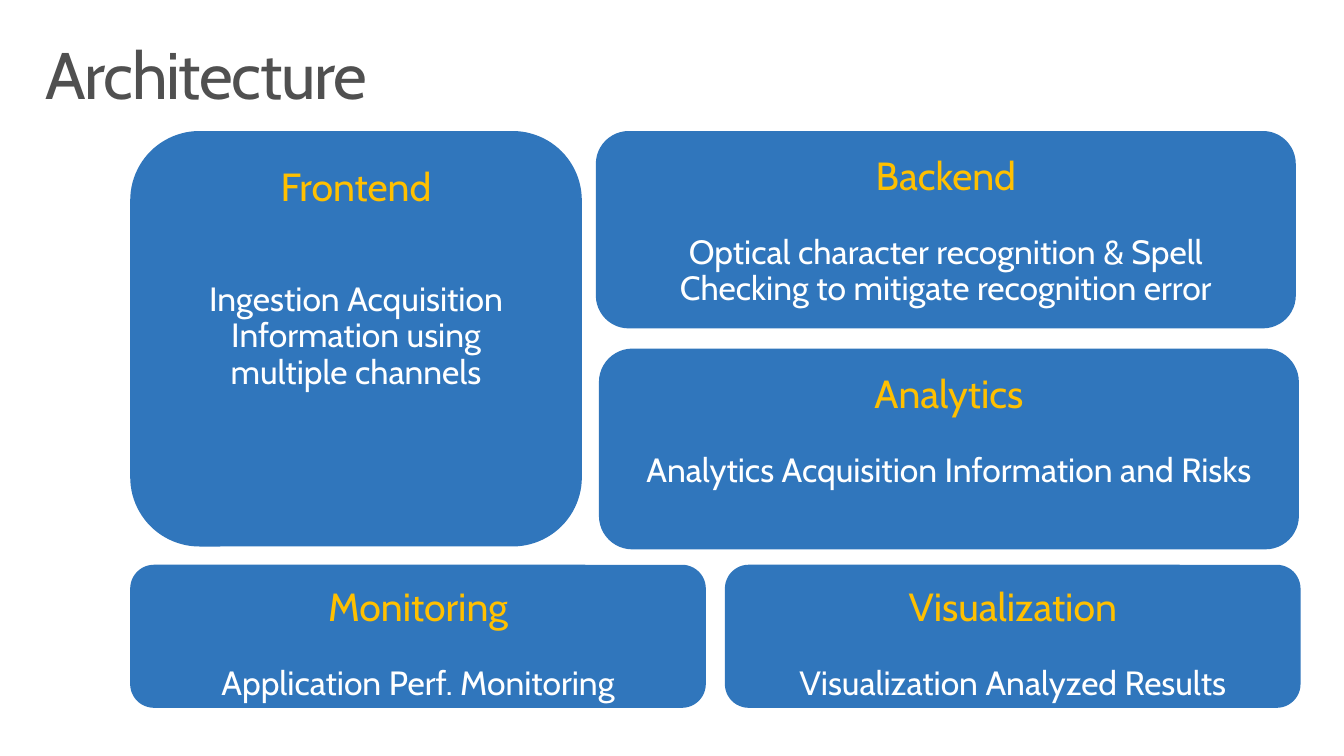
from dataclasses import dataclass

from pptx import Presentation
from pptx.dml.color import RGBColor
from pptx.enum import shapes, text
from pptx.util import Pt


@dataclass(frozen=True)
class Theme:
    font: str = "Cabin"
    title_color: RGBColor = RGBColor(0x50, 0x50, 0x50)
    box: RGBColor = RGBColor(0x30, 0x76, 0xBC)
    heading: RGBColor = RGBColor(0xFF, 0xC0, 0x00)
    body: RGBColor = RGBColor(0xFF, 0xFF, 0xFF)
    title_size: int = 47
    heading_size: int = 28
    body_size: int = 24
    line_spacing: float = 0.9
    body_gap: int = 26


theme = Theme()


def set_up_frame(tf, side, top):
    tf.word_wrap = True
    tf.auto_size = text.MSO_AUTO_SIZE.NONE
    tf.vertical_anchor = text.MSO_ANCHOR.TOP
    tf.margin_left = tf.margin_right = Pt(side)
    tf.margin_top = tf.margin_bottom = Pt(top)


def format_paragraph(p, align, size, color):
    p.alignment = align
    p.line_spacing = theme.line_spacing
    for r in p.runs:
        r.font.name = theme.font
        r.font.size = Pt(size)
        r.font.color.rgb = color


prs = Presentation()
prs.slide_width, prs.slide_height = Pt(960), Pt(540)
s = prs.slides.add_slide(prs.slide_layouts[5])

title = s.shapes.title
title.left, title.top, title.width, title.height = Pt(21), Pt(23), Pt(918), Pt(70.5)
tf = title.text_frame
tf.text = "Architecture"
set_up_frame(tf, 11.5, 7.2)
p = tf.paragraphs[0]
format_paragraph(p, text.PP_ALIGN.LEFT, theme.title_size, theme.title_color)
p.runs[0].font._element.set("spc", "-100")

# Left, top, width, height, heading, body, gap above the body in lines
components = [
    (93, 93.6, 322.6, 296.8, "Frontend",
     "Ingestion Acquisition Information using multiple channels", 2),
    (425.6, 93.6, 500, 141, "Backend",
     "Optical character recognition & Spell Checking to mitigate recognition error", 1),
    (427.8, 249, 500, 143.4, "Analytics",
     "Analytics Acquisition Information and Risks", 1),
    (93, 403.4, 411.2, 102.2, "Monitoring", "Application Perf. Monitoring", 1),
    (517.8, 403.4, 411.2, 102.2, "Visualization", "Visualization Analyzed Results", 1),
]

for left, top, width, height, heading, body, gap_lines in components:
    sp = s.shapes.add_shape(shapes.MSO_SHAPE.ROUNDED_RECTANGLE,
                            Pt(left), Pt(top), Pt(width), Pt(height))
    sp.shadow.inherit = False
    sp.fill.solid()
    sp.fill.fore_color.rgb = theme.box
    sp.line.fill.background()
    tf = sp.text_frame
    set_up_frame(tf, 14.4, 11.5)
    tf.text = heading
    format_paragraph(tf.paragraphs[0], text.PP_ALIGN.CENTER,
                     theme.heading_size, theme.heading)
    p = tf.add_paragraph()
    p.text = body
    p.space_before = Pt(gap_lines * theme.body_gap)
    format_paragraph(p, text.PP_ALIGN.CENTER, theme.body_size, theme.body)

prs.save("out.pptx")
